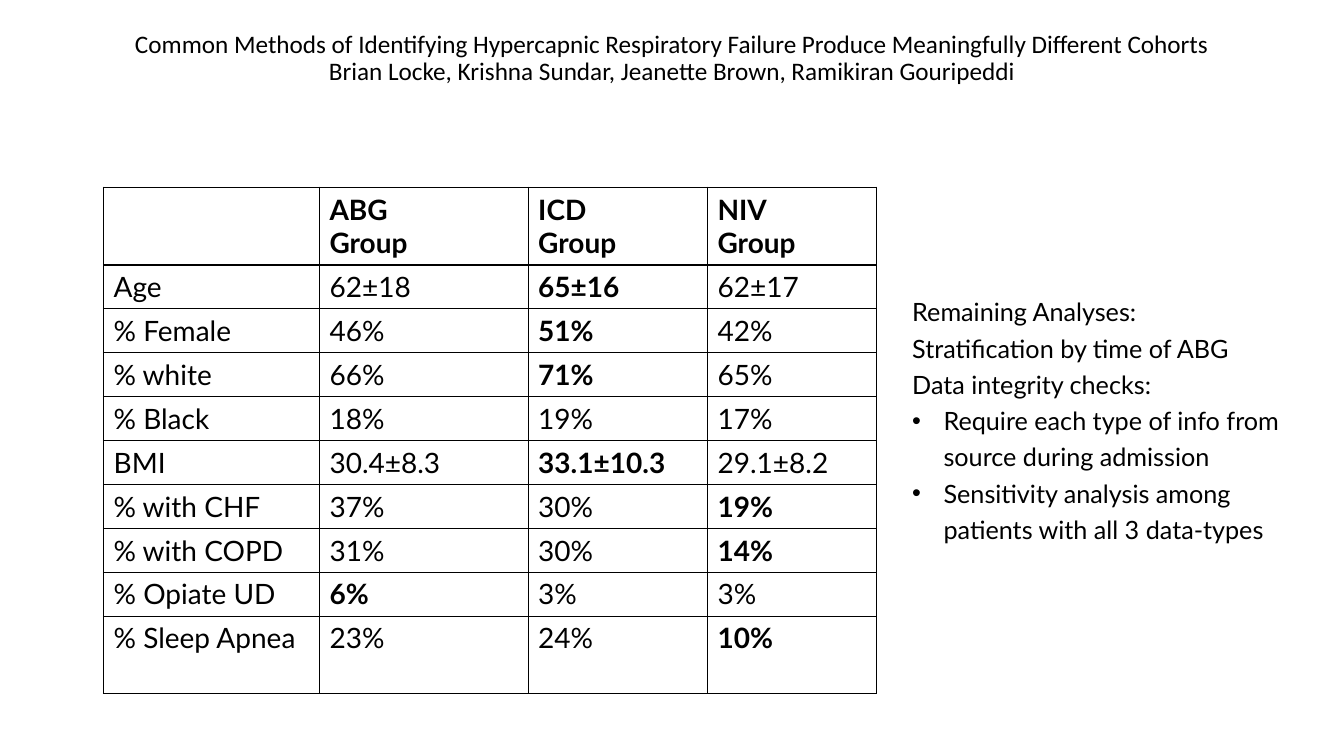
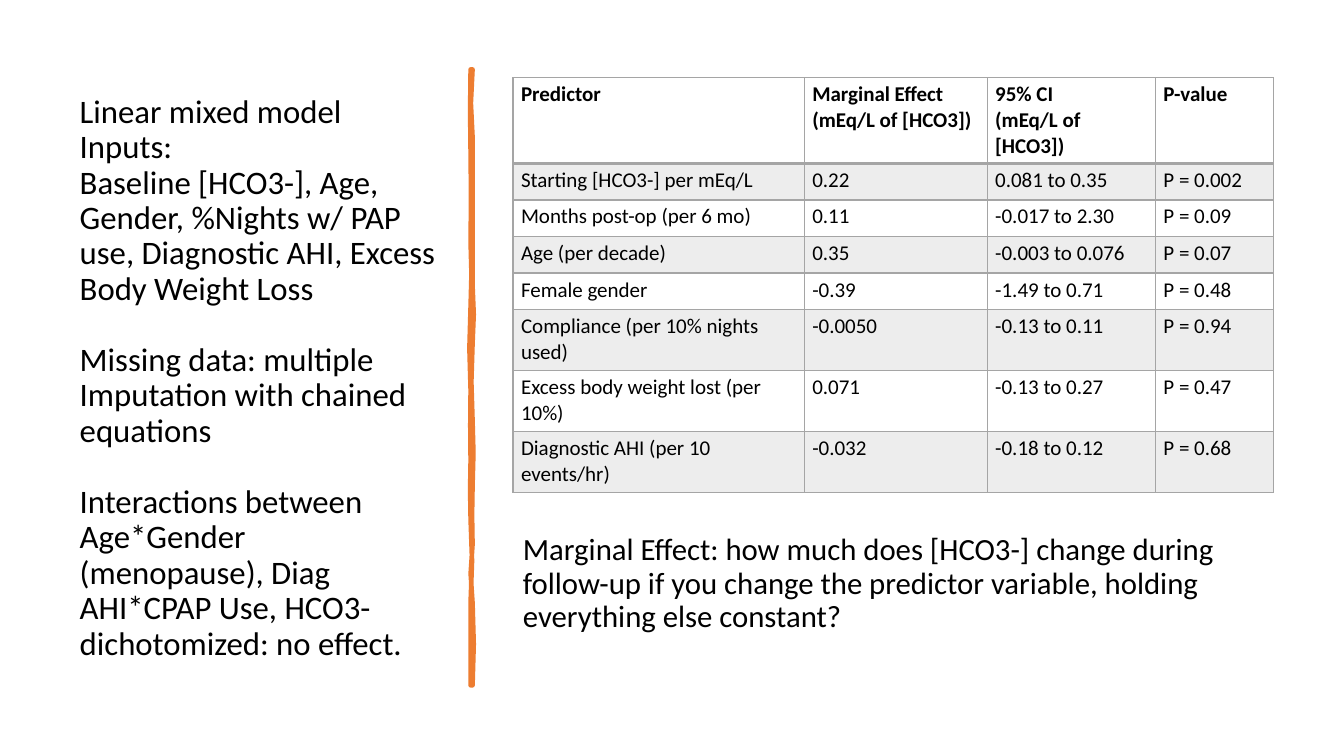
from dataclasses import dataclass
from typing import Any, NamedTuple

import lxml.etree
import pptx
import pptx.dml.color
import pptx.enum.text
import pptx.oxml.ns
import pptx.slide
import pptx.util

Cm = pptx.util.Cm
Pt = pptx.util.Pt
qn = pptx.oxml.ns.qn

# Shared look
BLACK, GREY, ORANGE = "000000", "A5A5A5", "ED7D31"
BAND_OPACITY = 20
CENTRE = pptx.enum.text.PP_ALIGN.CENTER
LEFT = pptx.enum.text.PP_ALIGN.LEFT
MIDDLE = pptx.enum.text.MSO_ANCHOR.MIDDLE
TOP = pptx.enum.text.MSO_ANCHOR.TOP


class Box(NamedTuple):
    """Place and size in centimetres."""
    left: float
    top: float
    width: float
    height: float


class Line(NamedTuple):
    """A paragraph; a newline in the text is a line break."""
    text: str
    bullet: bool = False
    before: float = 0


class Row(NamedTuple):
    cells: list[str]
    height: float
    bold: set[int] = set()
    banded: bool = False
    rule_below: float = 1


class Span(NamedTuple):
    """Stretch of a wavy edge: its end and two sideways pulls, in centimetres."""
    end: float
    pull_start: float
    pull_end: float


class Inset(NamedTuple):
    x: float
    y: float


@dataclass
class TextStyle:
    size: float
    font: str = "Calibri"
    spacing: float = 0.9
    align: Any = LEFT
    anchor: Any = TOP
    after: float = 0


@dataclass
class TableStyle:
    left: float
    top: float
    widths: list[float]
    size: float
    font: str
    border: str
    inset: Inset | None = None


TITLE = TextStyle(18, align=CENTRE, anchor=MIDDLE)
MODEL = TextStyle(23.4, anchor=MIDDLE)
ANALYSES = TextStyle(18, "Lato", 1.2)
EXPLANATION = TextStyle(22, after=6)


def colour(hex_value: str) -> pptx.dml.color.RGBColor:
    return pptx.dml.color.RGBColor.from_string(hex_value)


# Text
def add_run(paragraph: Any, text: str, font: str, size: float, bold: bool = False) -> None:
    run = paragraph.add_run()
    run.text = text
    run.font.name = font
    run.font.size = Pt(size)
    run.font.bold = bold
    run.font.color.rgb = colour(BLACK)


def paragraph_at(frame: Any, index: int) -> Any:
    return frame.add_paragraph() if index else frame.paragraphs[0]


def add_bullet(paragraph: Any) -> None:
    properties = paragraph._p.get_or_add_pPr()
    properties.set("marL", str(Cm(0.79)))
    properties.set("indent", str(-Cm(0.79)))
    lxml.etree.SubElement(properties, qn("a:buFont"), typeface="Arial")
    lxml.etree.SubElement(properties, qn("a:buChar"), char="•")


def add_text(slide: pptx.slide.Slide, box: Box, lines: list[Line], style: TextStyle) -> None:
    frame = slide.shapes.add_textbox(*map(Cm, box)).text_frame
    frame.word_wrap = True
    frame.vertical_anchor = style.anchor
    for index, line in enumerate(lines):
        paragraph = paragraph_at(frame, index)
        if line.bullet:
            add_bullet(paragraph)
        paragraph.alignment = style.align
        paragraph.line_spacing = style.spacing
        paragraph.space_before = Pt(line.before)
        paragraph.space_after = Pt(style.after)
        for part_index, part in enumerate(line.text.split("\n")):
            if part_index:
                paragraph.add_line_break()
            add_run(paragraph, part, style.font, style.size)


# Tables
def set_borders(cell: Any, border: str, rule_below: float) -> None:
    properties = cell._tc.get_or_add_tcPr()
    for side, width in (("lnL", 1), ("lnR", 1), ("lnT", 1), ("lnB", rule_below)):
        edge = lxml.etree.SubElement(properties, qn(f"a:{side}"), w=str(Pt(width)))
        fill = lxml.etree.SubElement(edge, qn("a:solidFill"))
        lxml.etree.SubElement(fill, qn("a:srgbClr"), val=border)


def set_band(cell: Any, banded: bool) -> None:
    if not banded:
        cell.fill.background()
        return
    cell.fill.solid()
    cell.fill.fore_color.rgb = colour(GREY)
    shade = cell._tc.tcPr.find(qn("a:solidFill")).find(qn("a:srgbClr"))
    lxml.etree.SubElement(shade, qn("a:alpha"), val=str(BAND_OPACITY * 1000))


def add_table(slide: pptx.slide.Slide, rows: list[Row], style: TableStyle) -> None:
    width, height = sum(style.widths), sum(row.height for row in rows)
    table = slide.shapes.add_table(len(rows), len(style.widths), Cm(style.left),
                                   Cm(style.top), Cm(width), Cm(height)).table
    table.first_row = table.horz_banding = False
    for column, column_width in zip(table.columns, style.widths):
        column.width = Cm(column_width)
    for row_index, row in enumerate(rows):
        table.rows[row_index].height = Cm(row.height)
        for column_index, text in enumerate(row.cells):
            cell = table.cell(row_index, column_index)
            if style.inset:
                cell.margin_left = cell.margin_right = Cm(style.inset.x)
                cell.margin_top = cell.margin_bottom = Cm(style.inset.y)
            set_borders(cell, style.border, row.rule_below)
            set_band(cell, row.banded)
            if not text:
                continue
            for index, part in enumerate(text.split("\n")):
                add_run(paragraph_at(cell.text_frame, index), part,
                        style.font, style.size, column_index in row.bold)


# Wavy divider
def edge_points(x: float, start: float, spans: list[Span]) -> list[tuple[int, int]]:
    points = [(Cm(x), Cm(start))]
    for span in spans:
        for t in (0.5, 1):
            pull = 3 * t * (1 - t) * ((1 - t) * span.pull_start + t * span.pull_end)
            points.append((Cm(x + pull), Cm(start + t * (span.end - start))))
        start = span.end
    return points


def add_divider(slide: pptx.slide.Slide) -> None:
    top, bottom = 1.75, 17.27
    down = [Span(3.86, 0.05, -0.08), Span(6.1, 0.08, -0.05), Span(7.72, 0.03, 0.03),
            Span(9.83, -0.05, -0.03), Span(11.61, 0.03, -0.05), Span(13.08, 0.05, -0.08),
            Span(15.19, 0.05, 0.05), Span(bottom, -0.08, 0.08)]
    up = [Span(15.19, 0, 0.08), Span(13.72, -0.1, -0.03), Span(12.24, 0, -0.03),
          Span(10.59, 0.03, 0.03), Span(8.66, -0.03, -0.05), Span(7.19, 0.05, 0.03),
          Span(5.72, -0.03, 0.03), Span(3.45, -0.05, 0.05), Span(top, -0.08, -0.03)]
    outline = edge_points(11.86, top, down) + edge_points(11.91, bottom, up)
    builder = slide.shapes.build_freeform(*outline[0])
    builder.add_line_segments(outline[1:], close=True)
    divider = builder.convert_to_shape()
    divider.shadow.inherit = False
    divider.fill.solid()
    divider.fill.fore_color.rgb = colour(ORANGE)
    divider.line.color.rgb = colour(ORANGE)
    divider.line.width = Pt(3.25)


# Slide 1: cohort comparison
def build_cohorts(slide: pptx.slide.Slide) -> None:
    header, normal, last = 1.8, 1.02, 1.96
    rows = [
        Row(["", "ABG\nGroup", "ICD\nGroup", "NIV\nGroup"], header, {1, 2, 3}),
        Row(["Age", "62±18", "65±16", "62±17"], normal, {2}),
        Row(["% Female", "46%", "51%", "42%"], normal, {2}),
        Row(["% white", "66%", "71%", "65%"], normal, {2}),
        Row(["% Black", "18%", "19%", "17%"], normal),
        Row(["BMI", "30.4±8.3", "33.1±10.3", "29.1±8.2"], normal, {2}),
        Row(["% with CHF", "37%", "30%", "19%"], normal, {3}),
        Row(["% with COPD", "31%", "30%", "14%"], normal, {3}),
        Row(["% Opiate UD", "6%", "3%", "3%"], normal, {1}),
        Row(["% Sleep Apnea", "23%", "24%", "10%"], last, {3}),
    ]
    add_table(slide, rows, TableStyle(2.61, 4.72, [5.44, 5.26, 4.52, 4.25], 20, "Lato", BLACK))
    add_text(slide, Box(22.74, 7.2, 10.67, 6.63), [
        Line("Remaining Analyses:"),
        Line("Stratification by time of ABG"),
        Line("Data integrity checks:"),
        Line("Require each type of info from source during admission", bullet=True),
        Line("Sensitivity analysis among patients with all 3 data-types", bullet=True),
    ], ANALYSES)
    add_text(slide, Box(2.33, 0.56, 29.21, 1.85), [
        Line("Common Methods of Identifying Hypercapnic Respiratory Failure "
             "Produce Meaningfully Different Cohorts\n"
             "Brian Locke, Krishna Sundar, Jeanette Brown, Ramikiran Gouripeddi"),
    ], TITLE)


# Slide 2: mixed model
def build_model(slide: pptx.slide.Slide) -> None:
    gap = 25.5
    add_text(slide, Box(1.76, 1.78, 9.5, 15.52), [
        Line("Linear mixed model Inputs:\n"
             "Baseline [HCO3-], Age, Gender, %Nights w/ PAP use, Diagnostic AHI, "
             "Excess Body Weight Loss"),
        Line("Missing data: multiple Imputation with chained equations", before=gap),
        Line("Interactions between Age*Gender (menopause), Diag AHI*CPAP Use, "
             "HCO3- dichotomized: no effect.", before=gap),
    ], MODEL)
    add_divider(slide)
    add_text(slide, Box(12.93, 13.34, 19.15, 3.96), [
        Line("Marginal Effect: how much does [HCO3-] change during follow-up if you "
             "change the predictor variable, holding everything else constant?"),
    ], EXPLANATION)

    header = Row(["Predictor", "Marginal Effect\n(mEq/L of [HCO3])",
                  "95% CI\n(mEq/L of [HCO3])", "P-value"], 2.16, {0, 1, 2, 3}, rule_below=2)
    predictors = [
        ["Starting [HCO3-] per mEq/L", "0.22", "0.081 to 0.35", "P = 0.002"],
        ["Months post-op (per 6 mo)", "0.11", "-0.017 to 2.30", "P = 0.09"],
        ["Age (per decade)", "0.35", "-0.003 to 0.076", "P = 0.07"],
        ["Female gender", "-0.39", "-1.49 to 0.71", "P = 0.48"],
        ["Compliance (per 10% nights used)", "-0.0050", "-0.13 to 0.11", "P = 0.94"],
        ["Excess body weight lost (per 10%)", "0.071", "-0.13 to 0.27", "P = 0.47"],
        ["Diagnostic AHI (per 10 events/hr)", "-0.032", "-0.18 to 0.12", "P = 0.68"],
    ]
    one_line, two_lines, wrapped_from = 0.92, 1.54, 4
    rows = [Row(cells, two_lines if index >= wrapped_from else one_line,
                banded=index % 2 == 0) for index, cells in enumerate(predictors)]
    add_table(slide, [header, *rows], TableStyle(12.93, 1.96, [7.34, 4.61, 4.24, 2.97], 15,
                                                 "Calibri", GREY, Inset(0.2, 0.1)))


def main() -> None:
    deck = pptx.Presentation()
    deck.slide_width, deck.slide_height = Cm(33.87), Cm(19.05)
    blank = deck.slide_layouts[6]
    for build in (build_cohorts, build_model):
        build(deck.slides.add_slide(blank))
    deck.save("out.pptx")


if __name__ == "__main__":
    main()
